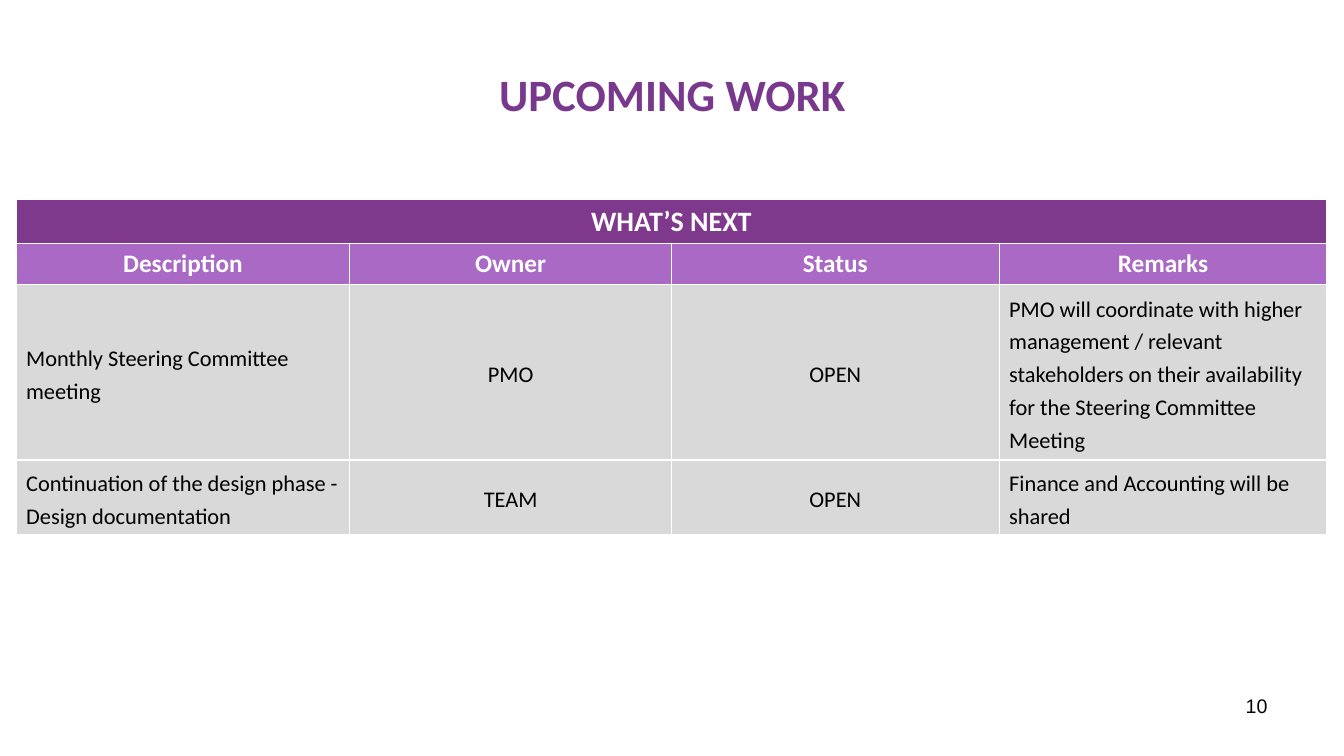
from lxml import etree
from pptx import Presentation
from pptx.dml.color import RGBColor
from pptx.enum import text
from pptx.oxml import ns
from pptx.util import Inches, Pt

TITLE_PURPLE = RGBColor(0x78, 0x39, 0x8D)
BANNER_PURPLE = RGBColor(0x7F, 0x39, 0x8C)
HEADER_PURPLE = RGBColor(0xA9, 0x69, 0xC4)
GREY = RGBColor(0xD9, 0xD9, 0xD9)
WHITE = RGBColor(0xFF, 0xFF, 0xFF)
BLACK = RGBColor(0, 0, 0)
LEFT, CENTER, RIGHT = text.PP_ALIGN.LEFT, text.PP_ALIGN.CENTER, text.PP_ALIGN.RIGHT
TOP, MIDDLE = text.MSO_ANCHOR.TOP, text.MSO_ANCHOR.MIDDLE


def write(tf, words, size, color, bold=False, align=CENTER, font="Calibri", spacing=None):
    p = tf.paragraphs[0]
    p.alignment = align
    p.line_spacing = spacing
    r = p.add_run()
    r.text = words
    r.font.name, r.font.size, r.font.bold = font, Pt(size), bold
    r.font.color.rgb = color


def style_cell(cell, color, anchor):
    """Fill the cell and give all four sides a thin white border."""
    cell.fill.solid()
    cell.fill.fore_color.rgb = color
    cell.vertical_anchor = anchor
    tc_pr = cell._tc.get_or_add_tcPr()
    for i, side in enumerate(("lnL", "lnR", "lnT", "lnB")):
        ln = etree.Element(ns.qn(f"a:{side}"), w=str(Pt(1)))
        fill = etree.SubElement(ln, ns.qn("a:solidFill"))
        etree.SubElement(fill, ns.qn("a:srgbClr"), val=str(WHITE))
        tc_pr.insert(i, ln)


prs = Presentation()
prs.slide_width, prs.slide_height = Inches(13.33), Inches(7.5)
s = prs.slides.add_slide(prs.slide_layouts[5])

title = s.shapes.title
title.left, title.top, title.width, title.height = map(Inches, (0.67, 0.3, 12, 1.25))
title.text_frame.vertical_anchor = MIDDLE
write(title.text_frame, "UPCOMING WORK", 32, TITLE_PURPLE, bold=True)

number = s.shapes.add_textbox(Inches(9.56), Inches(6.83), Inches(3.11), Inches(0.52))
number.text_frame.word_wrap = True
write(number.text_frame, "10", 14, BLACK, align=RIGHT, font="Arial")

headers = ["Description", "Owner", "Status", "Remarks"]
tasks = [
    ["Monthly Steering Committee meeting", "PMO", "OPEN",
     "PMO will coordinate with higher management / relevant stakeholders on their "
     "availability for the Steering Committee Meeting"],
    ["Continuation of the design phase - Design documentation", "TEAM", "OPEN",
     "Finance and Accounting will be shared"],
]
widths = [3.31, 3.19, 3.25, 3.25]
heights = [0.43, 0.41, 1.74, 0.74]

table = s.shapes.add_table(len(heights), len(widths), Inches(0.16), Inches(1.98),
                           Inches(sum(widths)), Inches(sum(heights))).table
for column, width in zip(table.columns, widths):
    column.width = Inches(width)
for row, height in zip(table.rows, heights):
    row.height = Inches(height)

banner = table.cell(0, 0)
banner.merge(table.cell(0, len(widths) - 1))
for cell in table.rows[0].cells:
    style_cell(cell, BANNER_PURPLE, TOP)
write(banner.text_frame, "WHAT’S NEXT", 20, WHITE, bold=True)

for cell, words in zip(table.rows[1].cells, headers):
    style_cell(cell, HEADER_PURPLE, TOP)
    write(cell.text_frame, words, 18, WHITE, bold=True)

for r, task in enumerate(tasks, start=2):
    for c, words in enumerate(task):
        cell = table.cell(r, c)
        style_cell(cell, GREY, MIDDLE)
        write(cell.text_frame, words, 16, BLACK,
              align=CENTER if headers[c] in ("Owner", "Status") else LEFT, spacing=1.2)

prs.save("out.pptx")
